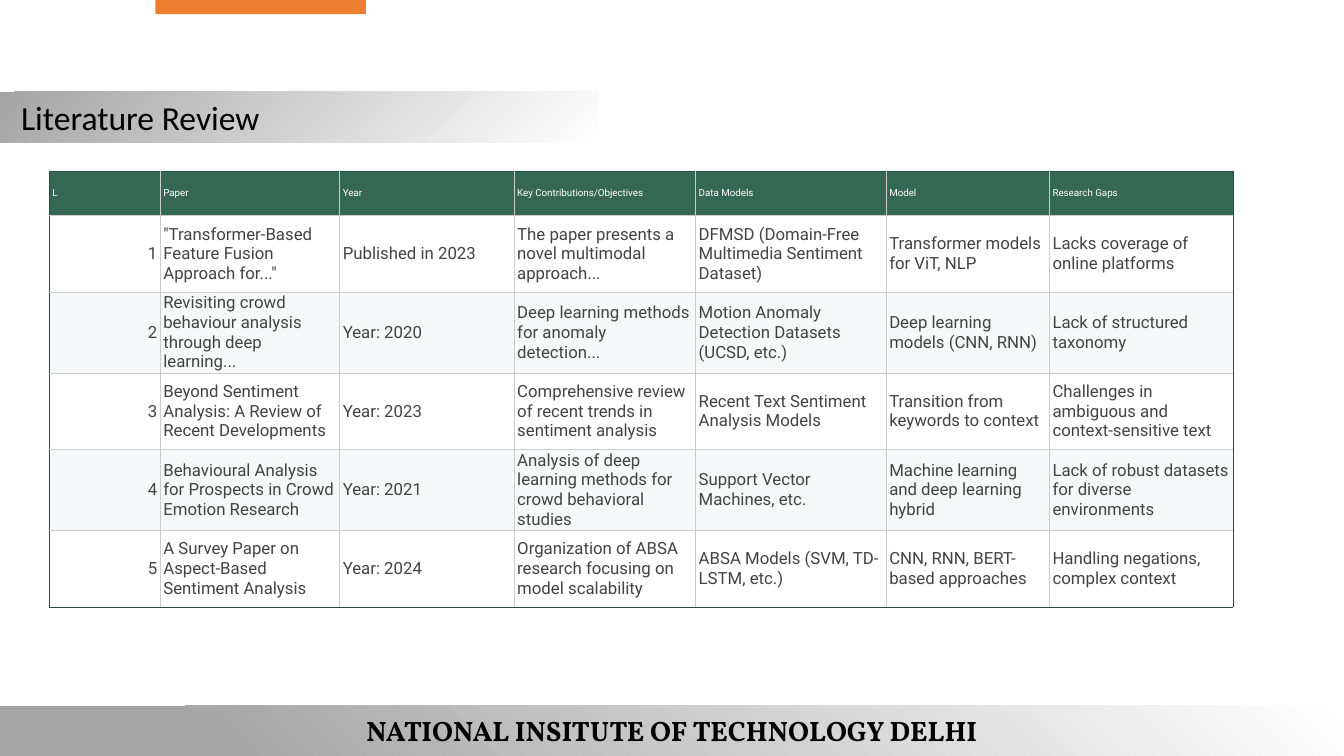
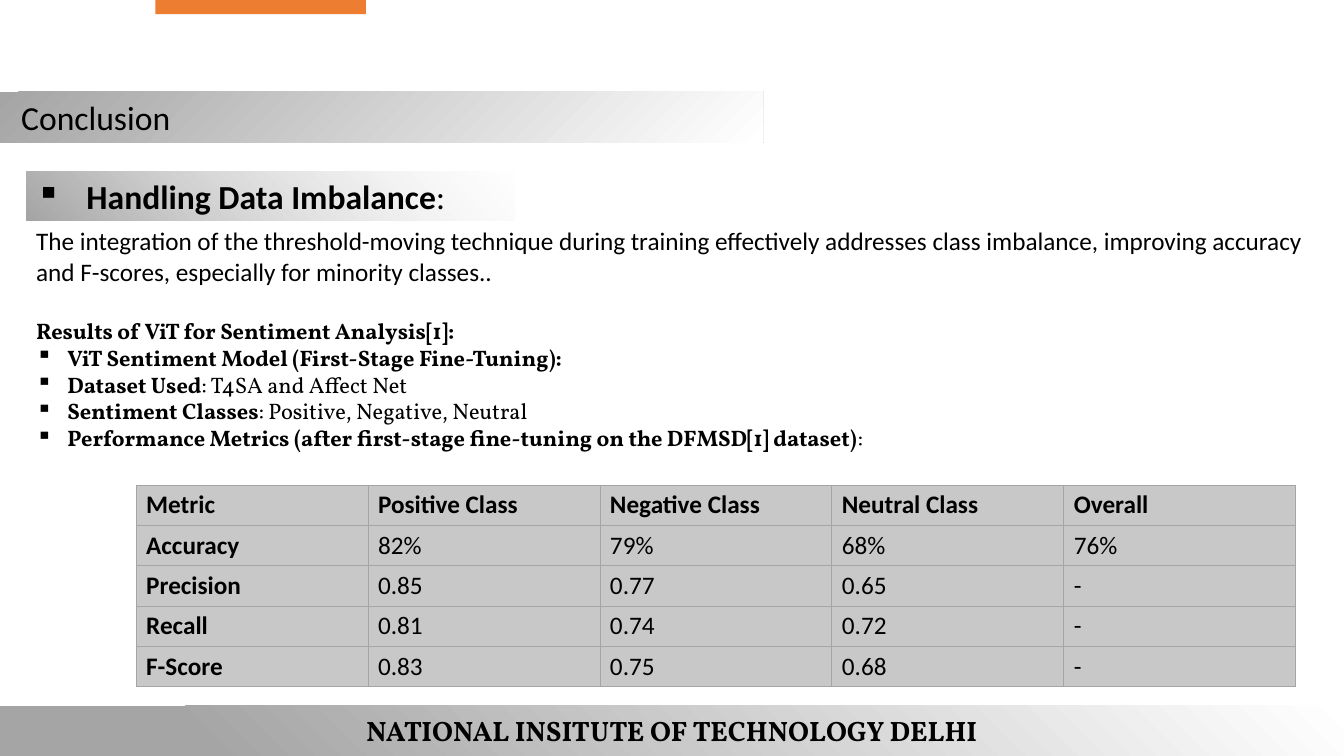
from lxml import etree
from pptx import Presentation
from pptx.dml.color import RGBColor
from pptx.enum import shapes, text
from pptx.oxml.ns import qn
from pptx.util import Inches, Pt

HUES = {
    "white": "FFFFFF", "black": "000000", "accent": "ED7D31", "gray": "A5A5A5",
    "green": "356854", "edge": "284E3F", "grid": "CCCCCC", "ink": "434343",
    "pale": "F6F8F9", "cell": "C8C8C8",
}
SCHOOL = "NATIONAL INSITUTE OF TECHNOLOGY DELHI"
WIDE, HIGH = 13.33, 7.5
LOW_LEFT, LOW_RIGHT = (100, 0, 0, 100), (100, 100, 0, 0)

PAPERS = [
    ("L", "Paper", "Year", "Key Contributions/Objectives", "Data Models", "Model",
     "Research Gaps"),
    ("1", '"Transformer-Based Feature Fusion Approach for..."', "Published in 2023",
     "The paper presents a novel multimodal approach...",
     "DFMSD (Domain-Free Multimedia Sentiment Dataset)",
     "Transformer models for ViT, NLP", "Lacks coverage of online platforms"),
    ("2", "Revisiting crowd behaviour analysis through deep learning...", "Year: 2020",
     "Deep learning methods for anomaly detection...",
     "Motion Anomaly Detection Datasets (UCSD, etc.)",
     "Deep learning models (CNN, RNN)", "Lack of structured taxonomy"),
    ("3", "Beyond Sentiment Analysis: A Review of Recent Developments", "Year: 2023",
     "Comprehensive review of recent trends in sentiment analysis",
     "Recent Text Sentiment Analysis Models",
     "Transition from keywords to context",
     "Challenges in ambiguous and context-sensitive text"),
    ("4", "Behavioural Analysis for Prospects in Crowd Emotion Research", "Year: 2021",
     "Analysis of deep learning methods for crowd behavioral studies",
     "Support Vector Machines, etc.", "Machine learning and deep learning hybrid",
     "Lack of robust datasets for diverse environments"),
    ("5", "A Survey Paper on Aspect-Based Sentiment Analysis", "Year: 2024",
     "Organization of ABSA research focusing on model scalability",
     "ABSA Models (SVM, TD-LSTM, etc.)", "CNN, RNN, BERT-based approaches",
     "Handling negations, complex context"),
]
PAPER_COLS = [1.1, 1.78, 1.73, 1.8, 1.89, 1.62, 1.82]
PAPER_ROWS = [0.44] + [0.76] * 5

SCORES = [
    ("Metric", "Positive Class", "Negative Class", "Neutral Class", "Overall"),
    ("Accuracy", "82%", "79%", "68%", "76%"),
    ("Precision", "0.85", "0.77", "0.65", "-"),
    ("Recall", "0.81", "0.74", "0.72", "-"),
    ("F-Score", "0.83", "0.75", "0.68", "-"),
]
TOPIC = ("Handling Data Imbalance", ":")
CLAIM = ("The integration of the threshold-moving technique during training "
         "effectively addresses class imbalance, improving accuracy and F-scores, "
         "especially for minority classes..")
RESULT = "Results of ViT for Sentiment Analysis[1]:"
POINTS = [
    ("ViT Sentiment Model (First-Stage Fine-Tuning):", ""),
    ("Dataset Used", ": T4SA and Affect Net"),
    ("Sentiment Classes", ": Positive, Negative, Neutral"),
    ("Performance Metrics (after first-stage fine-tuning on the DFMSD[1] dataset)", ":"),
]


def rgb(hue):
    return RGBColor.from_string(HUES[hue])


def box(*sides):
    return [Inches(side) for side in sides]


def node(parent, tag, **attrs):
    return etree.SubElement(parent, qn("a:" + tag), {k: str(v) for k, v in attrs.items()})


def fade(shape, focus, stop=100, alpha=None):
    shape.fill.gradient()
    grad = shape.fill._xPr.find(qn("a:gradFill"))
    for child in list(grad):
        grad.remove(child)
    stops = node(grad, "gsLst")
    for place, hue in ((0, "white"), (stop, "gray")):
        tint = node(node(stops, "gs", pos=place * 1000), "srgbClr", val=HUES[hue])
        if alpha and place == 0:
            node(tint, "alpha", val=alpha * 1000)
    ring = node(grad, "path", path="circle")
    node(ring, "fillToRect", **{k: v * 1000 for k, v in zip("ltrb", focus)})


def style(para, size, face="Calibri", hue="black", bold=None):
    font = para.font
    font.size, font.name, font.bold = Pt(size), face, bold
    font.color.rgb = rgb(hue)


def pair(para, parts):
    for part, bold in zip(parts, (True, False)):
        if part:
            run = para.add_run()
            run.text, run.font.bold = part, bold


def bullet(para, indent):
    props = para._p.get_or_add_pPr()
    props.set("marL", str(Inches(indent)))
    props.set("indent", str(-Inches(indent)))
    mark = etree.Element(qn("a:buChar"), {"char": "▪"})
    props.insert(0, mark)


def band(slide, *place):
    shape = slide.shapes.add_shape(shapes.MSO_SHAPE.RECTANGLE, *box(*place))
    shape.shadow.inherit = False
    shape.line.fill.background()
    frame = shape.text_frame
    frame.word_wrap = True
    frame.vertical_anchor = text.MSO_ANCHOR.MIDDLE
    return shape


def page(deck, title, width):
    slide = deck.slides.add_slide(deck.slide_layouts[5])
    head = slide.shapes.title
    head.left, head.top, head.width, head.height = box(0, 0.91, width, 0.5)
    fade(head, LOW_RIGHT)
    frame = head.text_frame
    frame.text = title
    frame.auto_size = text.MSO_AUTO_SIZE.NONE
    frame.vertical_anchor = text.MSO_ANCHOR.TOP
    frame.margin_left = Inches(0.21)
    para = frame.paragraphs[0]
    para.alignment = text.PP_ALIGN.LEFT
    style(para, 24)

    tab = band(slide, 1.54, 0, 2.09, 0.14)
    tab.fill.solid()
    tab.fill.fore_color.rgb = rgb("accent")

    foot = band(slide, 0, HIGH - 0.5, WIDE, 0.5)
    fade(foot, LOW_LEFT, 85)
    para = foot.text_frame.paragraphs[0]
    para.text = SCHOOL
    para.alignment = text.PP_ALIGN.CENTER
    style(para, 20, "Vollkorn", bold=True)
    return slide


def border(cell, hues, width):
    props = cell._tc.get_or_add_tcPr()
    for spot, (side, hue) in enumerate(zip("LRTB", hues)):
        line = etree.Element(qn("a:ln" + side), {"w": str(Pt(width))})
        node(node(line, "solidFill"), "srgbClr", val=HUES[hue])
        props.insert(spot, line)


def grid(slide, left, top, data, cols, rows, inner, outer, width, look):
    table = slide.shapes.add_table(
        len(rows), len(cols), *box(left, top, sum(cols), sum(rows))).table
    table.first_row = table.horz_banding = False
    for col, size in zip(table.columns, cols):
        col.width = Inches(size)
    for row, size in zip(table.rows, rows):
        row.height = Inches(size)
    for r, line in enumerate(data):
        for c, word in enumerate(line):
            cell = table.cell(r, c)
            cell.text = word
            cell.vertical_anchor = text.MSO_ANCHOR.MIDDLE
            cell.fill.solid()
            cell.fill.fore_color.rgb = rgb(look(cell, r, c))
            rim = (c == 0, c == len(cols) - 1, r == 0, r == len(rows) - 1)
            border(cell, [outer if end else inner for end in rim], width)


def paper(cell, r, c):
    cell.margin_left = cell.margin_right = Inches(0.03)
    cell.margin_top = cell.margin_bottom = Inches(0.01)
    para = cell.text_frame.paragraphs[0]
    if r == 0:
        style(para, 7, "Roboto", "white")
        return "green"
    style(para, 12, "Roboto", "ink")
    if c == 0:
        para.alignment = text.PP_ALIGN.RIGHT
    return "white" if r % 2 else "pale"


def score(cell, r, c):
    style(cell.text_frame.paragraphs[0], 18, bold=r == 0 or c == 0)
    return "cell"


def review(deck):
    slide = page(deck, "Literature Review", 5.94)
    grid(slide, 0.49, 1.7, PAPERS, PAPER_COLS, PAPER_ROWS, "grid", "edge", 0.6, paper)


def finish(deck):
    slide = page(deck, "Conclusion", 7.57)
    frame = slide.shapes.add_textbox(*box(0.26, 2.19, 12.81, 2.66)).text_frame
    frame.word_wrap = True
    para = frame.paragraphs[0]
    para.text = CLAIM
    style(para, 18)
    para = frame.add_paragraph()
    para.text = RESULT
    para.space_before = Pt(22)
    style(para, 16, "Vollkorn", bold=True)
    for parts in POINTS:
        para = frame.add_paragraph()
        pair(para, parts)
        style(para, 16, "Vollkorn")
        bullet(para, 0.31)

    topic = band(slide, 0.26, 1.7, 4.84, 0.49)
    fade(topic, LOW_LEFT, alpha=42)
    para = topic.text_frame.paragraphs[0]
    para.alignment = text.PP_ALIGN.LEFT
    pair(para, TOPIC)
    style(para, 24)
    bullet(para, 0.5)
    grid(slide, 1.35, 4.81, SCORES, [2.3] * 5, [0.4] * 5, "gray", "gray", 0.5, score)


def main():
    deck = Presentation()
    deck.slide_width, deck.slide_height = box(WIDE, HIGH)
    review(deck)
    finish(deck)
    deck.save("out.pptx")


if __name__ == "__main__":
    main()
